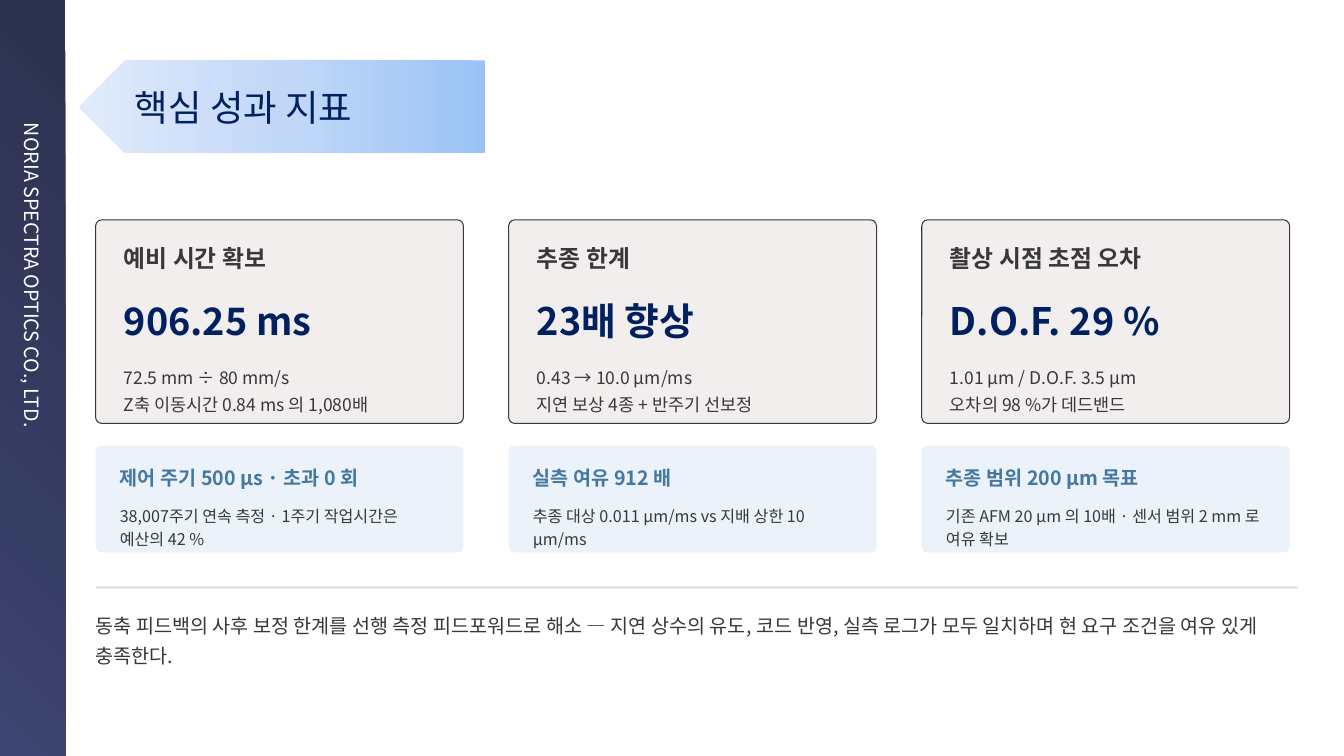
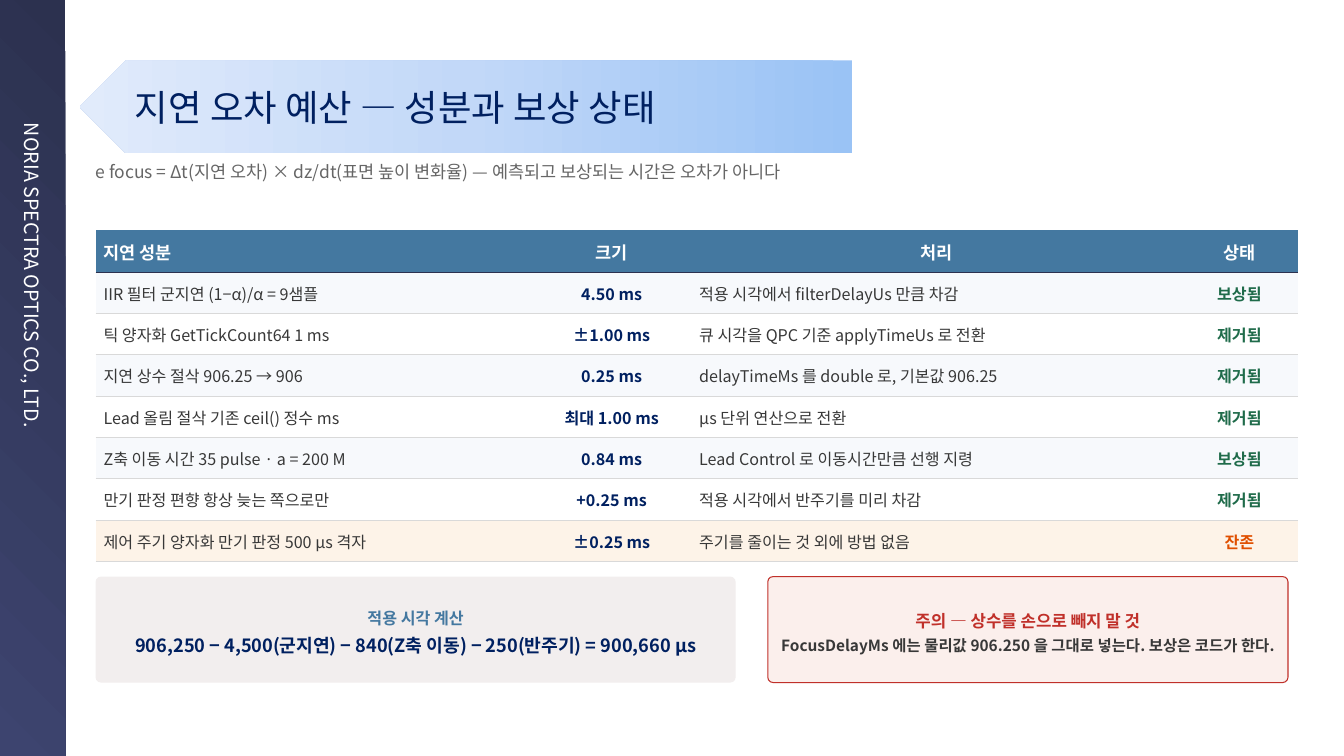
from copy import deepcopy

from lxml.etree import SubElement
from pptx import Presentation
from pptx.dml.color import RGBColor
from pptx.enum.shapes import MSO_SHAPE as Shape
from pptx.enum.text import MSO_ANCHOR as Anchor, MSO_AUTO_SIZE as AutoSize, PP_ALIGN as Align
from pptx.oxml import parse_xml
from pptx.oxml.ns import nsdecls, qn
from pptx.util import Cm, Pt

FONT = "Noto Sans CJK KR"
COMPANY = "NORIA SPECTRA OPTICS CO., LTD."

WHITE = RGBColor(0xFF, 0xFF, 0xFF)
INK = RGBColor(0x38, 0x38, 0x38)
GREY = RGBColor(0x66, 0x66, 0x66)
RULE = RGBColor(0xD9, 0xD9, 0xD9)
NAVY = RGBColor(0x00, 0x20, 0x60)
BLUE = RGBColor(0x44, 0x78, 0xA0)
GREEN = RGBColor(0x1F, 0x6B, 0x4A)
ORANGE = RGBColor(0xE0, 0x4F, 0x00)
RED = RGBColor(0xC0, 0x30, 0x2A)
CARD_FILL = RGBColor(0xF2, 0xEE, 0xEE)
NOTE_FILL = RGBColor(0xEB, 0xF2, 0xF9)
WARNING_FILL = RGBColor(0xFB, 0xEF, 0xEC)
BAND_FILL = RGBColor(0xF7, 0xF9, 0xFC)
OPEN_FILL = RGBColor(0xFD, 0xF3, 0xE8)
BAR_DARK = RGBColor(0x2C, 0x31, 0x4F)
BAR_LIGHT = RGBColor(0x3D, 0x44, 0x6F)
RIBBON_STOPS = [
    (0, RGBColor(0x9A, 0xC3, 0xF5)),
    (0.5, RGBColor(0xC2, 0xD8, 0xF8)),
    (1, RGBColor(0xE1, 0xEB, 0xFB)),
]

# Content area, in centimetres
LEFT, WIDTH = 2.41, 30.3
CARD_WIDTH, CARD_PITCH = 9.27, 10.41

# Label, value, details, note heading, note body
INDICATORS = [
    ("예비 시간 확보", "906.25 ms", "72.5 mm ÷ 80 mm/s\nZ축 이동시간 0.84 ms 의 1,080배",
     "제어 주기 500 µs · 초과 0 회",
     "38,007주기 연속 측정 · 1주기 작업시간은 예산의 42 %"),
    ("추종 한계", "23배 향상", "0.43 → 10.0 µm/ms\n지연 보상 4종 + 반주기 선보정",
     "실측 여유 912 배",
     "추종 대상 0.011 µm/ms vs 지배 상한 10 µm/ms"),
    ("촬상 시점 초점 오차", "D.O.F. 29 %", "1.01 µm / D.O.F. 3.5 µm\n오차의 98 %가 데드밴드",
     "추종 범위 200 µm 목표",
     "기존 AFM 20 µm 의 10배 · 센서 범위 2 mm 로 여유 확보"),
]

HEADINGS = ("지연 성분", "크기", "처리", "상태")
REMAINING = "잔존"
DELAYS = [
    ("IIR 필터 군지연 (1−α)/α = 9샘플", "4.50 ms", "적용 시각에서 filterDelayUs 만큼 차감", "보상됨"),
    ("틱 양자화 GetTickCount64 1 ms", "±1.00 ms", "큐 시각을 QPC 기준 applyTimeUs 로 전환", "제거됨"),
    ("지연 상수 절삭 906.25 → 906", "0.25 ms", "delayTimeMs 를 double 로, 기본값 906.25", "제거됨"),
    ("Lead 올림 절삭 기존 ceil() 정수 ms", "최대 1.00 ms", "µs 단위 연산으로 전환", "제거됨"),
    ("Z축 이동 시간 35 pulse · a = 200 M", "0.84 ms", "Lead Control 로 이동시간만큼 선행 지령", "보상됨"),
    ("만기 판정 편향 항상 늦는 쪽으로만", "+0.25 ms", "적용 시각에서 반주기를 미리 차감", "제거됨"),
    ("제어 주기 양자화 만기 판정 500 µs 격자", "±0.25 ms", "주기를 줄이는 것 외에 방법 없음", REMAINING),
]
COLUMN_WIDTHS = (11, 4.01, 12.34, 2.95)


# Text
def write(frame, text, *, size, color=INK, bold=False, align=Align.LEFT, spacing=1.0):
    """Add each line of the text as a formatted paragraph."""
    for line in text.split("\n"):
        paragraph = frame.paragraphs[-1]
        if paragraph.text:
            paragraph = frame.add_paragraph()
        paragraph.alignment = align
        paragraph.line_spacing = spacing
        run = paragraph.add_run()
        run.text = line
        run.font.name = FONT
        run.font.size = Pt(size)
        run.font.bold = bold
        run.font.color.rgb = color


def set_frame(frame, margins=(0, 0, 0, 0), anchor=Anchor.TOP):
    frame.word_wrap = True
    frame.auto_size = AutoSize.NONE
    frame.vertical_anchor = anchor
    (frame.margin_left, frame.margin_top,
     frame.margin_right, frame.margin_bottom) = map(Cm, margins)


def add_text(slide, left, top, width, height, text, **text_format):
    box = slide.shapes.add_textbox(Cm(left), Cm(top), Cm(width), Cm(height))
    set_frame(box.text_frame)
    write(box.text_frame, text, **text_format)


def use_font_for_hangul(root):
    for latin in list(root.iter(qn("a:latin"))):
        if latin.get("typeface") == FONT:
            east_asian = deepcopy(latin)
            east_asian.tag = qn("a:ea")
            latin.addnext(east_asian)


# Shapes
def add_shape(slide, kind, left, top, width, height, fill=None, line=None, rounding=None):
    shape = slide.shapes.add_shape(kind, Cm(left), Cm(top), Cm(width), Cm(height))
    shape.shadow.inherit = False
    if fill is not None:
        shape.fill.solid()
        shape.fill.fore_color.rgb = fill
    if line is None:
        shape.line.fill.background()
    else:
        shape.line.color.rgb = line
        shape.line.width = Pt(0.75)
    if rounding is not None:
        shape.adjustments[0] = rounding
    return shape


def fill_gradient(shape, stops, clockwise_angle):
    shape.fill.gradient()
    shape.fill.gradient_angle = -clockwise_angle % 360
    stop_list = next(shape.element.iter(qn("a:gsLst")))
    while len(stop_list) < len(stops):
        stop_list.append(deepcopy(stop_list[0]))
    for stop, (position, color) in zip(shape.fill.gradient_stops, stops):
        stop.position = position
        stop.color.rgb = color


# Shared parts
def add_company_bar(slide, layout):
    """Build the side bar and hand it to the layout."""
    bar = add_shape(slide, Shape.RECTANGLE, -8.7, 8.7, 19.05, 1.65)
    bar.rotation = 90
    fill_gradient(bar, [(0, BAR_DARK), (1, BAR_LIGHT)], 45)
    set_frame(bar.text_frame, (3.1, 0.13, 0.25, 0.13), Anchor.MIDDLE)
    write(bar.text_frame, COMPANY, size=14, color=WHITE)
    layout.shapes.element.append(bar.element)
    use_font_for_hangul(layout.shapes.element)


def set_title(slide, text, ribbon_width):
    top, height = 1.52, 2.34
    ribbon = add_shape(slide, Shape.PENTAGON, 2.01, top, ribbon_width, height)
    fill_gradient(ribbon, RIBBON_STOPS, 0)
    next(ribbon.element.iter(qn("a:xfrm"))).set("flipH", "1")

    title = slide.shapes.title
    title.element.addprevious(ribbon.element)
    title.left, title.top = Cm(3.4), Cm(top)
    title.width, title.height = Cm(ribbon_width - 2.49), Cm(height)
    set_frame(title.text_frame, anchor=Anchor.MIDDLE)
    write(title.text_frame, text, size=26, color=NAVY)


# Indicator slide
def add_indicator(slide, left, label, value, details, note_heading, note_body):
    add_shape(slide, Shape.ROUNDED_RECTANGLE, left, 5.54, CARD_WIDTH, 5.13,
              CARD_FILL, line=INK, rounding=0.03)
    text_left = left + 0.71
    add_text(slide, text_left, 6.15, 8, 1.02, label, size=17, bold=True)
    add_text(slide, text_left, 7.49, 8, 1.4, value, size=27, color=NAVY, bold=True)
    add_text(slide, text_left, 9.09, 8, 1.52, details, size=12.5, spacing=1.3)

    add_shape(slide, Shape.ROUNDED_RECTANGLE, left, 11.23, CARD_WIDTH, 2.69,
              NOTE_FILL, rounding=0.05)
    note_left = left + 0.61
    add_text(slide, note_left, 11.73, 8.13, 0.81, note_heading, size=14, color=BLUE, bold=True)
    add_text(slide, note_left, 12.67, 8.13, 1.07, note_body, size=11.5, spacing=1.2)


def build_indicators(slide):
    set_title(slide, "핵심 성과 지표", 10.21)
    for index, indicator in enumerate(INDICATORS):
        add_indicator(slide, LEFT + index * CARD_PITCH, *indicator)
    add_shape(slide, Shape.RECTANGLE, LEFT, 14.78, WIDTH, 0.05, RULE)
    add_text(slide, LEFT, 15.29, WIDTH, 1.9,
             "동축 피드백의 사후 보정 한계를 선행 측정 피드포워드로 해소 — 지연 상수의 유도, "
             "코드 반영, 실측 로그가 모두 일치하며 현 요구 조건을 여유 있게 충족한다.",
             size=14, spacing=1.3)


# Delay budget slide
def fill_cell(cell, text, fill, **text_format):
    cell.fill.solid()
    cell.fill.fore_color.rgb = fill
    cell.vertical_anchor = Anchor.MIDDLE
    cell.margin_left = cell.margin_right = Cm(0.2)
    cell.margin_top = cell.margin_bottom = Cm(0.08)
    write(cell.text_frame, text, spacing=1.05, **text_format)


def underline_rows(frame):
    for index, row in enumerate(frame.element.iter(qn("a:tr"))):
        color, width = (RULE, 0.6) if index else (BAR_DARK, 1.2)
        for properties in row.iter(qn("a:tcPr")):
            border = parse_xml(f'<a:lnB {nsdecls("a")} w="{int(Pt(width))}"/>')
            solid = SubElement(border, qn("a:solidFill"))
            SubElement(solid, qn("a:srgbClr"), val=str(color))
            properties.insert(0, border)


def add_delay_table(slide):
    row_count = len(DELAYS) + 1
    frame = slide.shapes.add_table(row_count, len(HEADINGS), Cm(LEFT), Cm(5.79),
                                   Cm(WIDTH), Cm(8.35))
    table = frame.table
    table.first_row = table.horz_banding = False
    # Plain table style without grid
    style = next(frame.element.iter(qn("a:tableStyleId")))
    style.text = "{2D5ABB26-0587-4C30-8999-92F81FD0307C}"
    for column, width in zip(table.columns, COLUMN_WIDTHS):
        column.width = Cm(width)
    for index, row in enumerate(table.rows):
        row.height = Cm(1.04 if index else 1.07)

    for column, heading in enumerate(HEADINGS):
        fill_cell(table.cell(0, column), heading, BLUE, size=12.5, color=WHITE, bold=True,
                  align=Align.CENTER if column else Align.LEFT)
    for index, delay in enumerate(DELAYS, 1):
        is_open = delay[-1] == REMAINING
        fill = OPEN_FILL if is_open else BAND_FILL if index % 2 else WHITE
        colors = (INK, NAVY, INK, ORANGE if is_open else GREEN)
        for column, (text, color) in enumerate(zip(delay, colors)):
            strong = color != INK
            fill_cell(table.cell(index, column), text, fill, size=11.5, color=color,
                      bold=strong, align=Align.CENTER if strong else Align.LEFT)
    underline_rows(frame)


def add_callout(slide, left, width, fill, heading, body, line=None):
    """Draw a box with two centred lines, each a (text, size, color)."""
    box = add_shape(slide, Shape.ROUNDED_RECTANGLE, left, 14.53, width, 2.67,
                    fill, line=line, rounding=0.05)
    set_frame(box.text_frame, (0.15, 0.05, 0.15, 0.05), Anchor.MIDDLE)
    for text, size, color in (heading, body):
        write(box.text_frame, text, size=size, color=color, bold=True,
              align=Align.CENTER, spacing=1.3)


def build_delay_budget(slide):
    set_title(slide, "지연 오차 예산 — 성분과 보상 상태", 19.46)
    add_text(slide, LEFT, 4.06, WIDTH, 0.86,
             "e focus = Δt(지연 오차) × dz/dt(표면 높이 변화율) — "
             "예측되고 보상되는 시간은 오차가 아니다",
             size=12.5, color=GREY)
    add_delay_table(slide)
    add_callout(slide, LEFT, 16.13, CARD_FILL,
                ("적용 시각 계산", 11.5, BLUE),
                ("906,250 − 4,500(군지연) − 840(Z축 이동) − 250(반주기) = 900,660 µs", 13, NAVY))
    add_callout(slide, 19.35, 13.11, WARNING_FILL,
                ("주의 — 상수를 손으로 빼지 말 것", 12, RED),
                ("FocusDelayMs 에는 물리값 906.250 을 그대로 넣는다. 보상은 코드가 한다.", 11, INK),
                line=RED)


def main():
    presentation = Presentation()
    presentation.slide_width, presentation.slide_height = Cm(33.87), Cm(19.05)
    title_only = presentation.slide_layouts[5]
    builders = (build_indicators, build_delay_budget)
    slides = [presentation.slides.add_slide(title_only) for _ in builders]
    add_company_bar(slides[0], title_only)
    for slide, build in zip(slides, builders):
        build(slide)
        use_font_for_hangul(slide.element)
    presentation.save("out.pptx")


if __name__ == "__main__":
    main()
